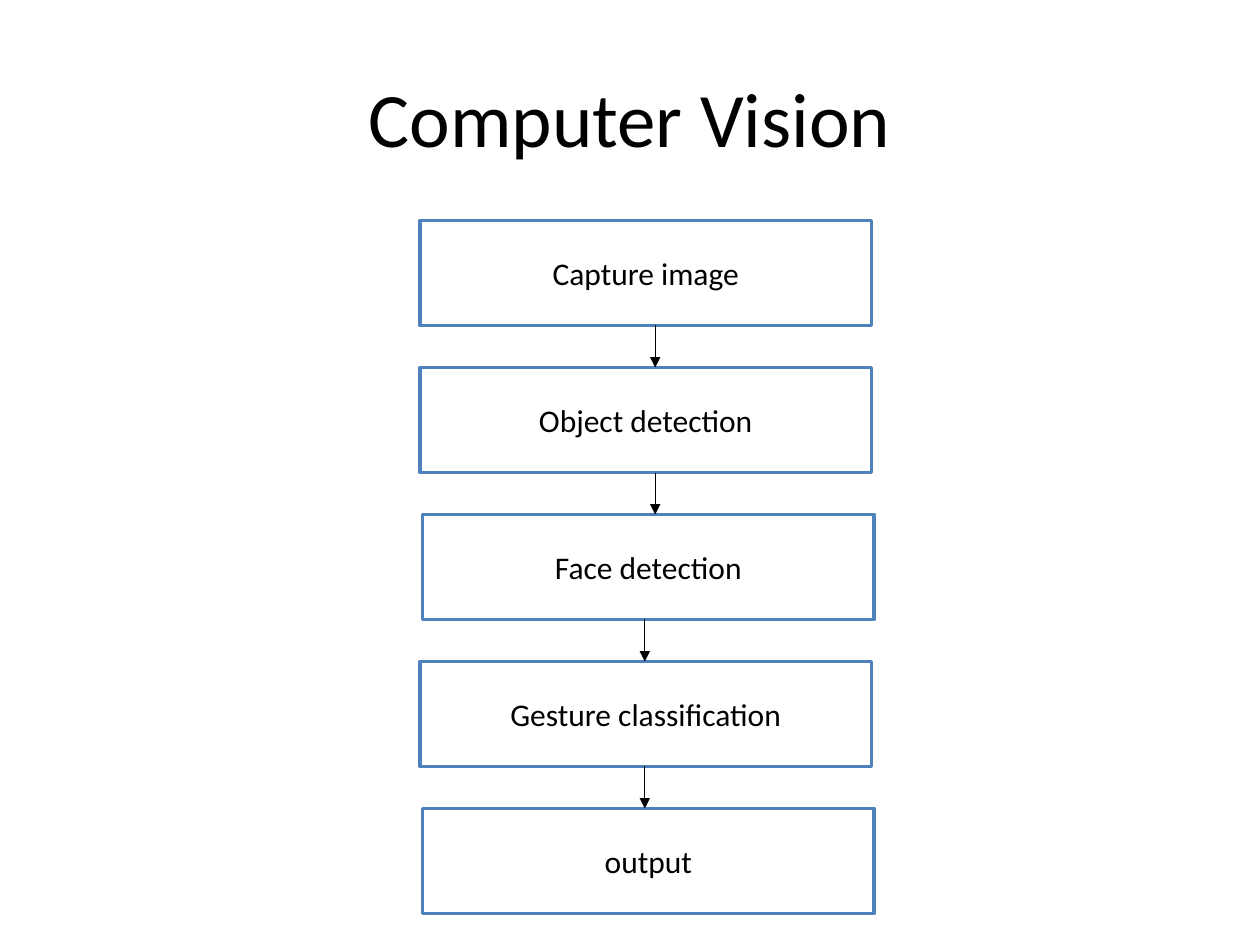
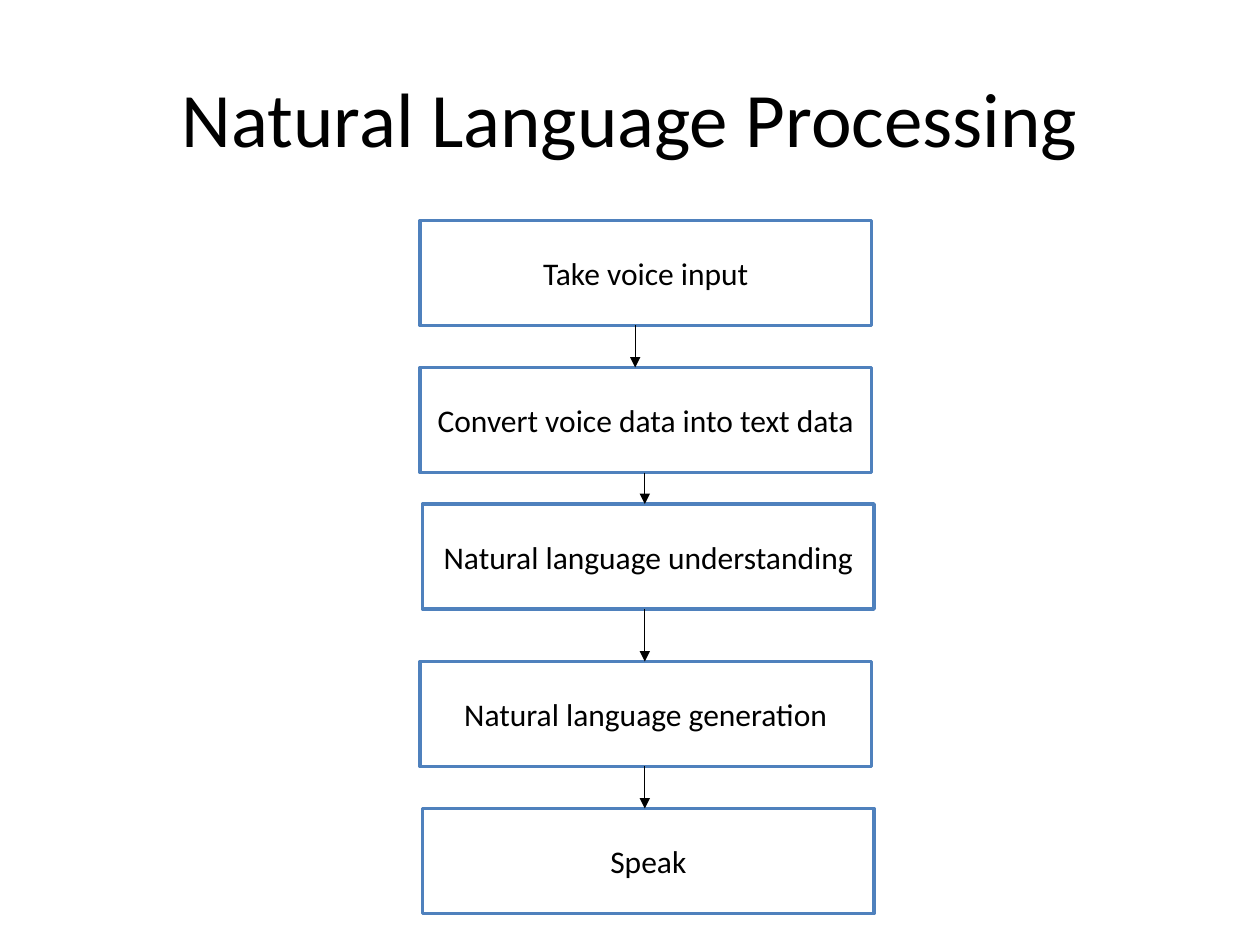
from lxml import etree
from pptx import Presentation
from pptx.dml.color import RGBColor
from pptx.enum import shapes, text
from pptx.oxml.ns import qn
from pptx.util import Pt

FIRST_TOP, STEP_PITCH = 126, 84
STEP_WIDTH, STEP_HEIGHT = 258, 60
STEP_LEFTS = (240, 240, 241.5, 240, 241.5)

FLOWS = (
    ("Computer Vision",
     ("Capture image", "Object detection", "Face detection",
      "Gesture classification", "output"),
     (374.4, 374.4, 368.5, 368.5), {}),
    ("Natural Language Processing",
     ("Take voice input", "Convert voice data into text data",
      "Natural language understanding", "Natural language generation",
      "Speak"),
     (363, 368.5, 368.5, 368.5), {2: 288}),
)


def color(hex_value):
    return RGBColor.from_string(hex_value)


class FlowDeck:
    font, ink, paper, accent = "Calibri", "000000", "FFFFFF", "4F81BD"

    def __init__(self):
        self.deck = Presentation()
        self.deck.slide_width, self.deck.slide_height = Pt(720), Pt(540)
        self.slide = None

    def set_text(self, frame, wording, size):
        frame.text = wording
        frame.word_wrap = True
        frame.vertical_anchor = text.MSO_ANCHOR.MIDDLE
        paragraph = frame.paragraphs[0]
        paragraph.alignment = text.PP_ALIGN.CENTER
        paragraph.font.name = self.font
        paragraph.font.size = Pt(size)
        paragraph.font.color.rgb = color(self.ink)

    def start(self, heading):
        self.slide = self.deck.slides.add_slide(self.deck.slide_layouts[5])
        title = self.slide.shapes.title
        title.left, title.top = Pt(36), Pt(21.6)
        title.width, title.height = Pt(648), Pt(90)
        self.set_text(title.text_frame, heading, 44)

    def step(self, label, left, top):
        box = self.slide.shapes.add_shape(
            shapes.MSO_SHAPE.RECTANGLE,
            Pt(left), Pt(top), Pt(STEP_WIDTH), Pt(STEP_HEIGHT))
        box.shadow.inherit = False
        box.fill.solid()
        box.fill.fore_color.rgb = color(self.paper)
        box.line.color.rgb = color(self.accent)
        box.line.width = Pt(2)
        self.set_text(box.text_frame, label, 18)

    def arrow(self, x, top, bottom):
        link = self.slide.shapes.add_connector(
            shapes.MSO_CONNECTOR.STRAIGHT, Pt(x), Pt(top), Pt(x), Pt(bottom))
        link.line.color.rgb = color(self.ink)
        link.line.width = Pt(0.75)
        properties = link._element.spPr
        outline = properties.find(qn("a:ln"))
        etree.SubElement(outline, qn("a:tailEnd"), type="triangle")
        etree.SubElement(properties, qn("a:effectLst"))

    def flow(self, heading, labels, arrow_xs, moved_tops):
        self.start(heading)
        tops = [moved_tops.get(i, FIRST_TOP + i * STEP_PITCH)
                for i in range(len(labels))]
        for label, left, top in zip(labels, STEP_LEFTS, tops):
            self.step(label, left, top)
        for x, top, next_top in zip(arrow_xs, tops, tops[1:]):
            self.arrow(x, top + STEP_HEIGHT, next_top)


def main():
    presentation = FlowDeck()
    for flow in FLOWS:
        presentation.flow(*flow)
    presentation.deck.save("out.pptx")


if __name__ == "__main__":
    main()
